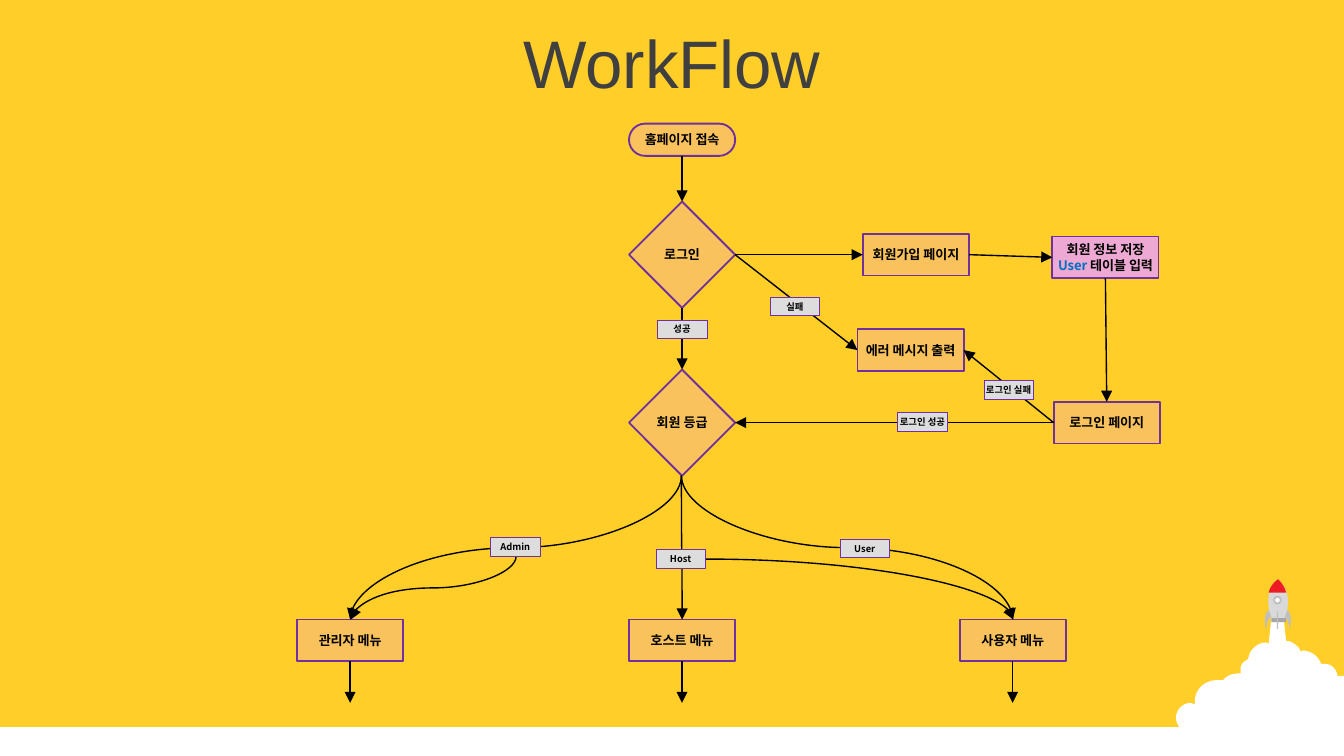
from lxml.etree import SubElement
from pptx import Presentation
from pptx.dml.color import RGBColor
from pptx.enum.shapes import MSO_CONNECTOR as Link, MSO_SHAPE as Kind
from pptx.enum.text import MSO_ANCHOR as Anchor, MSO_AUTO_SIZE as Fit, PP_ALIGN as Align
from pptx.oxml.ns import qn
from pptx.util import Inches, Pt

YELLOW = RGBColor(0xFF, 0xCE, 0x29)
PINK = RGBColor(0xED, 0xA9, 0xD3)
PURPLE = RGBColor(0x70, 0x30, 0xA0)
BLUE = RGBColor(0x00, 0x70, 0xC0)
RED = RGBColor(0xED, 0x1C, 0x24)
BLACK = RGBColor(0, 0, 0)
WHITE = RGBColor(0xFF, 0xFF, 0xFF)
DARK = RGBColor(0x40, 0x40, 0x40)
PALE = RGBColor(0xDD, 0xDD, 0xDD)
LIGHT = RGBColor(0xD9, 0xD9, 0xD9)
SILVER = RGBColor(0xBF, 0xBF, 0xBF)
GREY = RGBColor(0xA6, 0xA6, 0xA6)

FONT = "Noto Sans CJK KR"
BOX_W, BOX_H, GEM = 0.79, 0.31, 0.79
TAG_W, TAG_H = 0.37, 0.14
TOP, LEFT, BOTTOM, RIGHT = range(4)

# Outlines: a start point, then lines (2 numbers) and Bezier curves (6 numbers).
CLOUD = [
    (9.46, 4.59), (9.55, 4.59), (9.57, 4.77), (9.59, 4.77),
    (9.62, 4.78, 9.65, 4.8, 9.67, 4.83), (9.68, 4.85), (9.69, 4.84),
    (9.75, 4.84, 9.81, 4.88, 9.83, 4.94), (9.86, 4.94),
    (9.9, 4.94, 9.94, 4.97, 9.95, 5.02), (9.95, 5.03), (10, 5.03),
    (10, 5.6), (9.98, 5.6), (9.94, 5.6, 9.9, 5.59, 9.87, 5.57), (9.85, 5.57),
    (9.83, 5.58, 9.81, 5.59, 9.78, 5.59), (9.75, 5.59, 9.73, 5.57, 9.71, 5.55),
    (9.69, 5.55), (9.67, 5.58, 9.64, 5.59, 9.6, 5.59),
    (9.57, 5.59, 9.54, 5.58, 9.52, 5.56), (9.49, 5.56),
    (9.45, 5.59, 9.4, 5.61, 9.34, 5.61), (9.23, 5.61, 9.17, 5.56, 9.13, 5.51),
    (9.11, 5.53, 9.07, 5.54, 9.04, 5.53), (9, 5.52, 8.94, 5.5, 8.93, 5.45),
    (8.92, 5.44), (8.91, 5.45, 8.89, 5.45, 8.86, 5.45),
    (8.8, 5.45, 8.75, 5.4, 8.75, 5.34), (8.75, 5.28, 8.8, 5.23, 8.86, 5.23),
    (8.89, 5.24), (8.89, 5.22), (8.89, 5.13, 8.96, 5.06, 9.06, 5.06),
    (9.1, 5.06), (9.11, 5.05), (9.14, 5.02, 9.18, 5.01, 9.23, 5.01),
    (9.23, 4.98), (9.23, 4.95, 9.25, 4.92, 9.28, 4.91), (9.29, 4.89),
    (9.3, 4.83, 9.36, 4.78, 9.42, 4.78), (9.44, 4.79),
]
HULL = [(9.46, 4.62), (9.44, 4.53, 9.4, 4.4, 9.51, 4.31),
        (9.62, 4.41, 9.58, 4.54, 9.56, 4.62)]
NOSE = [(9.51, 4.31), (9.54, 4.34, 9.56, 4.37, 9.57, 4.41), (9.44, 4.41),
        (9.45, 4.37, 9.47, 4.34, 9.51, 4.31)]
FINS = [
    [(9.44, 4.54), (9.46, 4.59), (9.42, 4.61, 9.43, 4.66, 9.42, 4.68),
     (9.41, 4.65, 9.4, 4.57, 9.44, 4.54)],
    [(9.58, 4.54), (9.56, 4.59), (9.59, 4.61, 9.59, 4.66, 9.6, 4.68),
     (9.6, 4.65, 9.62, 4.57, 9.58, 4.54)],
]


def paint(shape, fill, line=None, width=1):
    shape.shadow.inherit = False
    shape.fill.solid()
    shape.fill.fore_color.rgb = fill
    if line is None:
        shape.line.fill.background()
    else:
        shape.line.color.rgb = line
        shape.line.width = Pt(width)


def add_block(slide, kind, x, y, w, h, fill, line=None, width=1):
    shape = slide.shapes.add_shape(kind, Inches(x), Inches(y), Inches(w), Inches(h))
    paint(shape, fill, line, width)
    return shape


def add_path(slide, parts, fill, steps=8):
    """Draw a closed outline, with each Bezier curve cut into short lines."""
    points = [parts[0]]
    for part in parts[1:]:
        if len(part) == 2:
            points.append(part)
            continue
        ends = [points[-1], part[:2], part[2:4], part[4:]]
        for step in range(1, steps + 1):
            t = step / steps
            mix = ((1 - t) ** 3, 3 * t * (1 - t) ** 2, 3 * t * t * (1 - t), t ** 3)
            points.append(tuple(sum(m * e[i] for m, e in zip(mix, ends)) for i in (0, 1)))
    points = [(Inches(x), Inches(y)) for x, y in points]
    form = slide.shapes.build_freeform(*points[0])
    form.add_line_segments(points[1:], close=True)
    paint(form.convert_to_shape(), fill)


def add_text(shape, lines, size):
    """Write lines, each a list of (text, colour) runs."""
    frame = shape.text_frame
    frame.word_wrap = True
    frame.vertical_anchor = Anchor.MIDDLE
    frame.margin_left = frame.margin_right = 0
    for i, runs in enumerate(lines):
        para = frame.add_paragraph() if i else frame.paragraphs[0]
        para.alignment = Align.CENTER
        for text, color in runs:
            run = para.add_run()
            run.text = text
            font = run.font
            font.size, font.bold, font.name = Pt(size), True, FONT
            font.color.rgb = color
            SubElement(run._r.get_or_add_rPr(), qn("a:ea")).set("typeface", FONT)


def add_node(slide, text, x, y, kind=Kind.RECTANGLE, h=BOX_H):
    node = add_block(slide, kind, x, y, BOX_W, h, PINK, PURPLE)
    tint = node.fill._xPr.find(qn("a:solidFill"))[0]
    SubElement(tint, qn("a:alpha")).set("val", "30000")
    add_text(node, [[(text, BLACK)]], 7)
    return node


def add_tag(slide, text, x, y):
    tag = add_block(slide, Kind.RECTANGLE, x, y, TAG_W, TAG_H, PALE, PURPLE, 0.25)
    add_text(tag, [[(text, BLACK)]], 5)


def add_arrow(slide, x1, y1, x2, y2, kind=Link.STRAIGHT):
    arrow = slide.shapes.add_connector(kind, Inches(x1), Inches(y1), Inches(x2), Inches(y2))
    arrow.line.color.rgb = BLACK
    arrow.line.width = Pt(0.75)
    SubElement(arrow.line._get_or_add_ln(), qn("a:tailEnd")).set("type", "triangle")
    SubElement(arrow._element.spPr, qn("a:effectLst"))
    return arrow


def join(slide, start, side, end, site):
    arrow = add_arrow(slide, 0, 0, 1, 1)
    arrow.begin_connect(start, side)
    arrow.end_connect(end, site)


def add_drop(slide, x1, y1, x2, y2):
    """Draw an S-curve that leaves and arrives vertically, as a turned connector."""
    w, h = y2 - y1, abs(x2 - x1)
    left, top = (x1 + x2 - w) / 2, (y1 + y2 - h) / 2
    ends = (left, left + w) if x2 <= x1 else (left + w, left)
    curve = add_arrow(slide, ends[0], top, ends[1], top + h, Link.CURVE)
    curve.rotation = 90 if x2 <= x1 else 270


def add_rocket(slide):
    add_block(slide, Kind.RECTANGLE, 0, 5.41, 10, 0.22, WHITE)
    add_path(slide, CLOUD, WHITE)
    add_path(slide, HULL, LIGHT)
    add_block(slide, Kind.RECTANGLE, 9.46, 4.6, 0.11, 0.03, GREY)
    add_path(slide, NOSE, RED)
    add_block(slide, Kind.OVAL, 9.48, 4.44, 0.05, 0.05, WHITE, SILVER)
    add_block(slide, Kind.RECTANGLE, 9.5, 4.55, 0.01, 0.13, SILVER)
    for fin in FINS:
        add_path(slide, fin, SILVER)


def add_title(slide, text):
    title = slide.shapes.title
    title.left, title.top, title.width, title.height = map(Inches, (0, 0.14, 10, 0.63))
    frame = title.text_frame
    frame.auto_size = Fit.NONE
    frame.vertical_anchor = Anchor.MIDDLE
    para = frame.paragraphs[0]
    para.alignment = Align.CENTER
    run = para.add_run()
    run.text = text
    run.font.size, run.font.name = Pt(36), "Arial"
    run.font.color.rgb = DARK


def add_flow(slide):
    home = add_node(slide, "홈페이지 접속", 4.68, 0.92, Kind.ROUNDED_RECTANGLE, 0.24)
    home.adjustments[0] = 0.5
    login = add_node(slide, "로그인", 4.68, 1.5, Kind.DIAMOND, GEM)
    grade = add_node(slide, "회원 등급", 4.68, 2.75, Kind.DIAMOND, GEM)
    signup = add_node(slide, "회원가입 페이지", 6.42, 1.74)
    error = add_node(slide, "에러 메시지 출력", 6.38, 2.45)
    page = add_node(slide, "로그인 페이지", 7.84, 2.99)
    store = add_block(slide, Kind.RECTANGLE, 7.83, 1.76, BOX_W, BOX_H, PINK, PURPLE)
    add_text(store, [[("회원 정보 저장", BLACK)],
                     [("User ", BLUE), ("테이블 입력", BLACK)]], 7)
    for start, side, end, site in (
        (home, BOTTOM, login, TOP), (login, BOTTOM, grade, TOP),
        (login, RIGHT, signup, LEFT), (login, RIGHT, error, LEFT),
        (signup, RIGHT, store, LEFT), (store, BOTTOM, page, TOP),
        (page, LEFT, error, RIGHT), (page, LEFT, grade, RIGHT),
    ):
        join(slide, start, side, end, site)

    for text, x in (("관리자 메뉴", 2.21), ("호스트 메뉴", 4.68), ("사용자 메뉴", 7.14)):
        menu = add_node(slide, text, x, 4.61)
        mid = x + BOX_W / 2
        add_drop(slide, 5.07, 3.54, mid, 4.61)
        add_arrow(slide, mid, 4.92, mid, 5.23).begin_connect(menu, BOTTOM)
    add_drop(slide, 3.84, 4.14, 2.61, 4.61)
    bend = add_arrow(slide, 5.25, 4.16, 7.54, 4.61, Link.CURVE)
    bend._element.spPr.find(qn("a:prstGeom")).set("prst", "curvedConnector2")

    for text, x, y in (
        ("실패", 5.73, 2.21), ("성공", 4.89, 2.38), ("로그인 실패", 7.32, 2.83),
        ("로그인 성공", 6.68, 3.07), ("Admin", 3.65, 4), ("Host", 4.88, 4.09),
        ("User", 6.25, 4.01),
    ):
        add_tag(slide, text, x, y)


def main():
    deck = Presentation()
    deck.slide_width = Inches(10)
    deck.slide_height = deck.slide_width * 9 // 16
    slide = deck.slides.add_slide(deck.slide_layouts[5])
    slide.background.fill.solid()
    slide.background.fill.fore_color.rgb = YELLOW
    add_rocket(slide)
    add_title(slide, "WorkFlow")
    add_flow(slide)
    deck.save("out.pptx")


if __name__ == "__main__":
    main()
